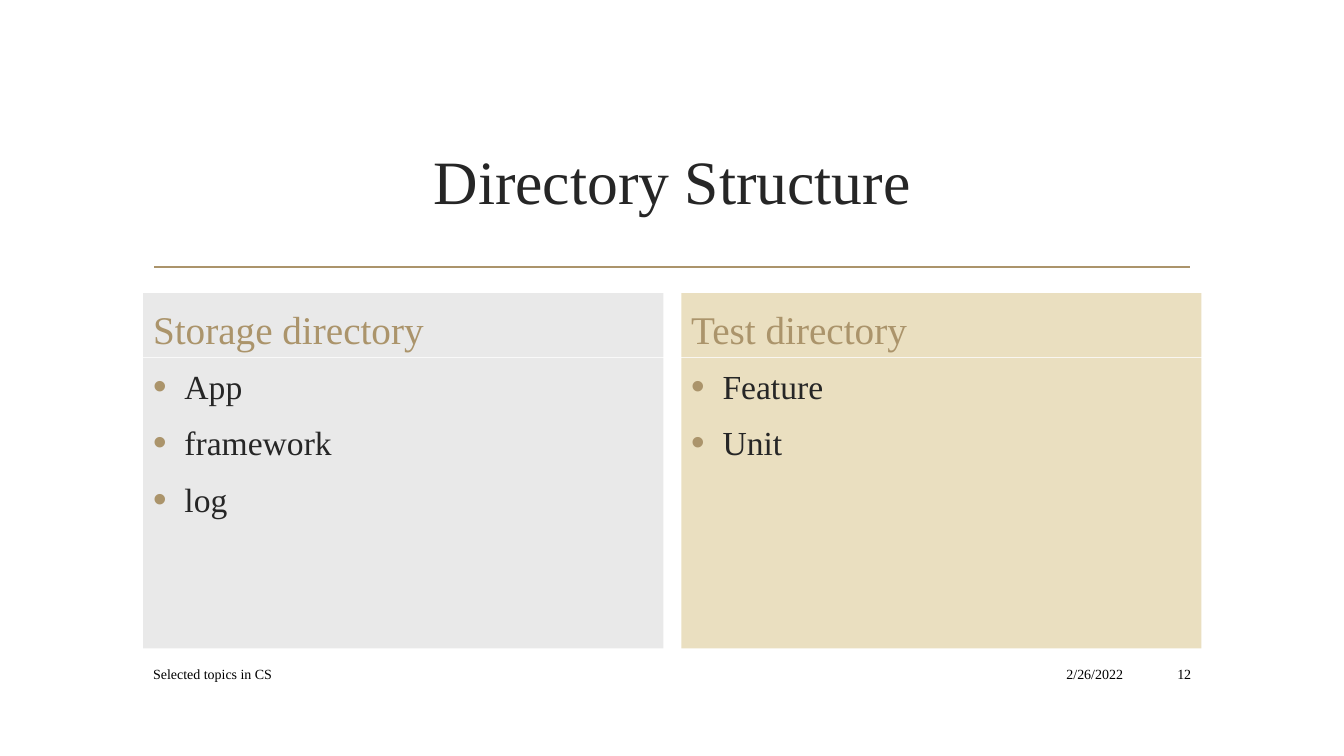
"""Build the Directory Structure slide with its two directory panels."""
from dataclasses import dataclass

from lxml.etree import SubElement
from pptx import Presentation
from pptx.dml.color import RGBColor as Rgb
from pptx.enum.shapes import MSO_CONNECTOR as Link, MSO_SHAPE as Kind
from pptx.enum.text import MSO_ANCHOR as Anchor, PP_ALIGN as Align
from pptx.oxml.ns import qn
from pptx.util import Cm, Pt

HUES = {"gold": "AB946B", "ink": "262626", "black": "000000",
        "gray": "E9E9E9", "sand": "EADFC0"}
FACE = "Times New Roman"
LEFT, STEP, WIDE = 3.61, 13.56, 13.11


@dataclass
class Box:
    x: float
    y: float
    w: float
    h: float
    lines: list[str]
    size: int
    hue: str
    align: Align = Align.LEFT
    anchor: Anchor = Anchor.MIDDLE
    fill: str = ""
    dots: bool = False
    top: float = 0.13


def tint(name: str) -> Rgb:
    return Rgb.from_string(HUES[name])


def add_dot(para) -> None:
    props = para._p.get_or_add_pPr()
    props.set("marL", str(Cm(0.79)))
    props.set("indent", str(-Cm(0.79)))
    color = SubElement(props, qn("a:buClr"))
    SubElement(color, qn("a:srgbClr"), val=HUES["gold"])
    SubElement(props, qn("a:buSzPct"), val="115000")
    SubElement(props, qn("a:buFont"), typeface="Arial")
    SubElement(props, qn("a:buChar"), char="•")


def draw(slide, box: Box) -> None:
    area = Cm(box.x), Cm(box.y), Cm(box.w), Cm(box.h)
    if box.fill:
        shape = slide.shapes.add_shape(Kind.RECTANGLE, *area)
        shape.shadow.inherit = False
        shape.fill.solid()
        shape.fill.fore_color.rgb = tint(box.fill)
        shape.line.fill.background()
    else:
        shape = slide.shapes.add_textbox(*area)
    frame = shape.text_frame
    frame.word_wrap = True
    frame.vertical_anchor = box.anchor
    frame.margin_top = Cm(box.top)
    for i, line in enumerate(box.lines):
        para = frame.add_paragraph() if i else frame.paragraphs[0]
        para.text = line
        para.alignment = box.align
        if box.dots:
            add_dot(para)
            para.space_before = Pt(5.5 if i else 0)
            para.space_after = Pt(6)
        font = para.font
        font.name, font.size = FACE, Pt(box.size)
        font.color.rgb = tint(box.hue)


def draw_rule(slide) -> None:
    y = Cm(6.73)
    rule = slide.shapes.add_connector(Link.STRAIGHT, Cm(3.89), y, Cm(30), y)
    rule.line.color.rgb = tint("gold")
    rule.line.width = Pt(1.25)
    SubElement(rule._element.spPr, qn("a:effectLst"))


def main() -> None:
    deck = Presentation()
    deck.slide_width, deck.slide_height = Cm(33.87), Cm(19.05)
    slide = deck.slides.add_slide(deck.slide_layouts[6])
    draw_rule(slide)
    draw(slide, Box(LEFT, 2.72, 26.67, 3.63, ["Directory Structure"], 44,
                    "ink", Align.CENTER))
    panels = [("Storage directory", ["App", "framework", "log"], "gray"),
              ("Test directory", ["Feature", "Unit"], "sand")]
    for i, (head, items, fill) in enumerate(panels):
        x = LEFT + i * STEP
        draw(slide, Box(x, 7.39, WIDE, 1.61, [head], 28, "gold",
                        anchor=Anchor.BOTTOM, fill=fill))
        draw(slide, Box(x, 9.02, WIDE, 7.32, items, 24, "ink",
                        anchor=Anchor.TOP, fill=fill, dots=True, top=0.2))
    feet = [(24.1, 4.45, "2/26/2022", Align.RIGHT),
            (28.75, 1.52, "12", Align.RIGHT),
            (LEFT, 20.29, "Selected topics in CS", Align.LEFT)]
    for x, w, note, align in feet:
        draw(slide, Box(x, 16.59, w, 0.79, [note], 10, "black", align))
    deck.save("out.pptx")


if __name__ == "__main__":
    main()
